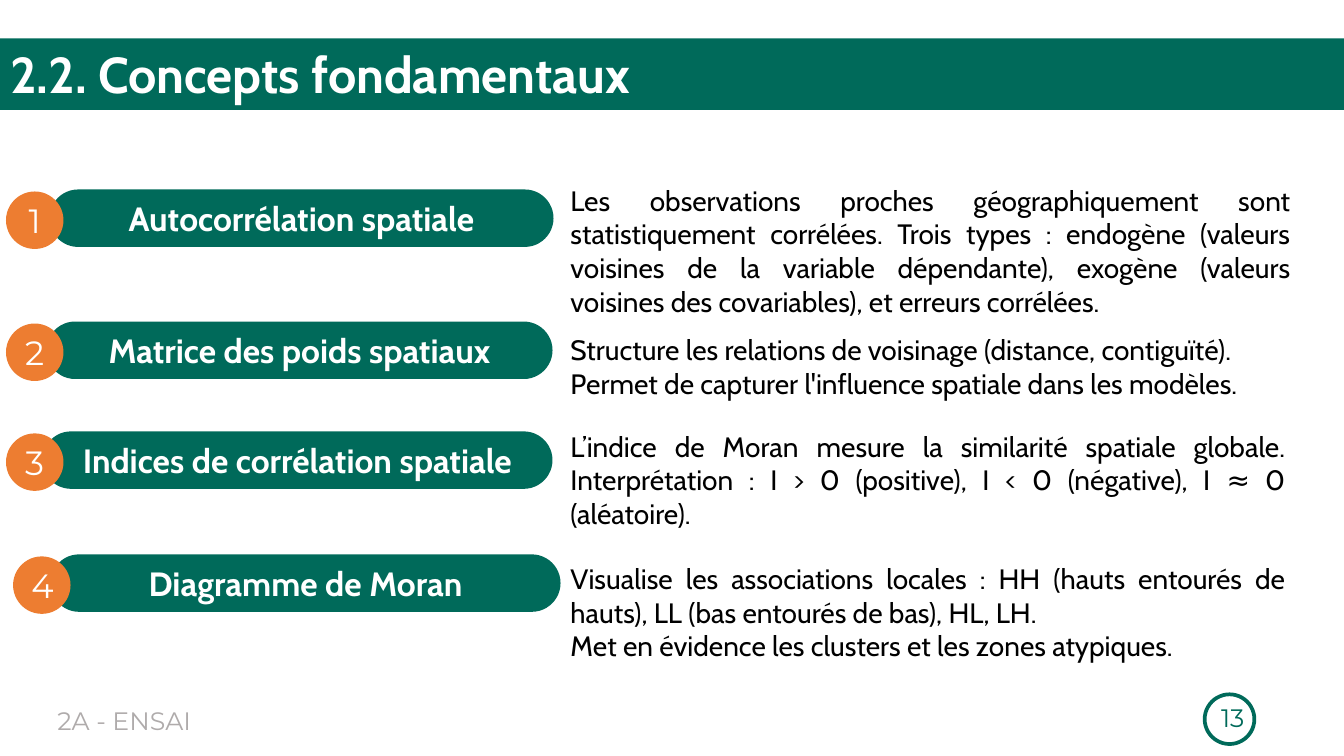
from pptx import Presentation
from pptx.dml.color import RGBColor
from pptx.enum.shapes import MSO_SHAPE as Shape
from pptx.enum.text import MSO_ANCHOR as Anchor, MSO_AUTO_SIZE as AutoSize, PP_ALIGN as Align
from pptx.util import Inches, Pt

COLORS = {"green": "006A5A", "orange": "ED7D31", "white": "FFFFFF",
          "black": "000000", "grey": "AFABAB"}
TEXT_FONT, NUMBER_FONT = "Cabin", "Montserrat"
PILL_HEIGHT = 0.57
TEXT_LEFT = 5.56

# Pill: left, top, width; circle left; text: top, width, height; paragraphs
CONCEPTS = [
    ("Autocorrélation spatiale", (0.49, 1.88, 5), 0.06, (1.77, 7.34, 1.46),
     ["Les observations proches géographiquement sont statistiquement corrélées. "
      "Trois types : endogène (valeurs voisines de la variable dépendante), "
      "exogène (valeurs voisines des covariables), et erreurs corrélées."]),
    ("Matrice des poids spatiaux", (0.46, 3.19, 5.02), 0.06, (3.25, 7.29, 0.77),
     ["Structure les relations de voisinage (distance, contiguïté).",
      "Permet de capturer l'influence spatiale dans les modèles."]),
    ("Indices de corrélation spatiale", (0.42, 4.28, 5.06), 0.06, (4.21, 7.29, 1.11),
     ["L’indice de Moran mesure la similarité spatiale globale.\n"
      "Interprétation : I > 0 (positive), I < 0 (négative), I ≈ 0 (aléatoire)."]),
    ("Diagramme de Moran", (0.5, 5.5, 5.06), 0.13, (5.52, 7.29, 1.11),
     ["Visualise les associations locales : HH (hauts entourés de hauts), "
      "LL (bas entourés de bas), HL, LH.",
      "Met en évidence les clusters et les zones atypiques."]),
]


def rgb(name):
    return RGBColor.from_string(COLORS[name])


class ConceptSlide:
    def __init__(self, deck):
        self.slide = deck.slides.add_slide(deck.slide_layouts[5])
        self.shapes = self.slide.shapes

    def fill_text(self, frame, paragraphs, size, font, color, align=Align.LEFT,
                  bold=False, anchor=Anchor.TOP):
        """Fill a text frame; a newline inside a paragraph is a line break."""
        frame.word_wrap = True
        frame.auto_size = AutoSize.NONE
        frame.vertical_anchor = anchor
        for index, text in enumerate(paragraphs):
            para = frame.add_paragraph() if index else frame.paragraphs[0]
            para.alignment = align
            for number, line in enumerate(text.split("\n")):
                if number:
                    para.add_line_break()
                span = para.add_run()
                span.text = line
                span.font.size = Pt(size)
                span.font.name = font
                span.font.bold = bold
                span.font.color.rgb = rgb(color)

    def title(self, text, left, top, width, height):
        banner = self.shapes.title
        banner.left, banner.top = Inches(left), Inches(top)
        banner.width, banner.height = Inches(width), Inches(height)
        banner.fill.solid()
        banner.fill.fore_color.rgb = rgb("green")
        self.fill_text(banner.text_frame, [text], 36, TEXT_FONT, "white", bold=True)

    def text(self, paragraphs, left, top, width, height, **style):
        box = self.shapes.add_textbox(Inches(left), Inches(top), Inches(width), Inches(height))
        self.fill_text(box.text_frame, paragraphs, **style)

    def shape(self, kind, left, top, width, height, color, adjustment=None, parent=None):
        shape = (parent or self.slide).shapes.add_shape(
            kind, Inches(left), Inches(top), Inches(width), Inches(height))
        shape.shadow.inherit = False
        shape.fill.solid()
        shape.fill.fore_color.rgb = rgb(color)
        shape.line.fill.background()
        if adjustment is not None:
            shape.adjustments[0] = adjustment
        return shape

    def label(self, number, name, pill_place, circle_left):
        """Group a named pill with its numbered circle."""
        left, top, width = pill_place
        group = self.shapes.add_group_shape()
        pill = self.shape(Shape.ROUNDED_RECTANGLE, left, top, width, PILL_HEIGHT,
                          "green", 0.5, group)
        circle = self.shape(Shape.OVAL, circle_left, top + 0.02, PILL_HEIGHT, PILL_HEIGHT,
                            "orange", parent=group)
        centred = {"align": Align.CENTER, "anchor": Anchor.MIDDLE}
        self.fill_text(pill.text_frame, [name], 24, TEXT_FONT, "white", bold=True, **centred)
        self.fill_text(circle.text_frame, [str(number)], 24, NUMBER_FONT, "white", **centred)


def main():
    deck = Presentation()
    deck.slide_width, deck.slide_height = Inches(13.33), Inches(7.5)
    page = ConceptSlide(deck)

    page.title("2.2. Concepts fondamentaux", 0, 0.38, 13.33, 0.71)
    for number, (name, pill, circle_left, (top, width, height), paragraphs) in enumerate(CONCEPTS, 1):
        page.text(paragraphs, TEXT_LEFT, top, width, height,
                  size=20, font=TEXT_FONT, color="black", align=Align.JUSTIFY)
        page.label(number, name, pill, circle_left)

    page.shape(Shape.DONUT, 11.93, 6.87, 0.53, 0.53, "green", 0.07)
    page.text(["2A - ENSAI"], 0.47, 6.95, 2.28, 0.4,
              size=18, font=NUMBER_FONT, color="grey")
    page.text(["13"], 9.44, 6.92, 3, 0.4,
              size=18, font=NUMBER_FONT, color="green", align=Align.RIGHT)
    deck.save("out.pptx")


if __name__ == "__main__":
    main()
